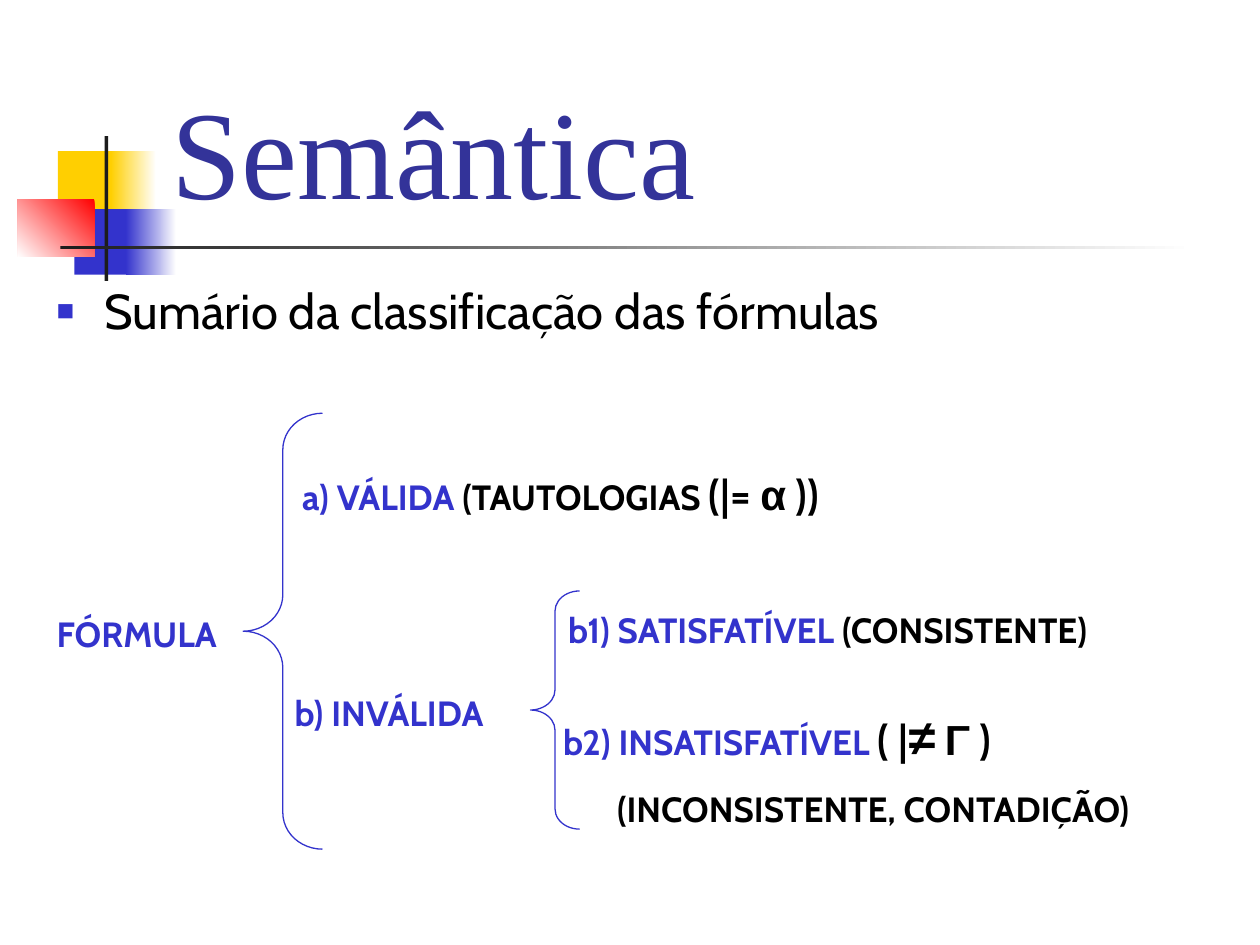
from dataclasses import dataclass
from typing import Optional

from lxml.etree import SubElement
from pptx import Presentation
from pptx.dml.color import RGBColor as Rgb
from pptx.enum.shapes import MSO_SHAPE as Preset
from pptx.enum.text import MSO_ANCHOR as Anchor, MSO_AUTO_SIZE as AutoSize, PP_ALIGN as Align
from pptx.oxml.ns import qn
from pptx.util import Inches, Pt


@dataclass(frozen=True)
class Theme:
    blue: str = "3333CC"
    navy: str = "333399"
    yellow: str = "FFCF01"
    red: str = "FF0000"
    dark: str = "1C1C1C"
    black: str = "000000"
    white: str = "FFFFFF"
    sans: str = "Cabin"
    serif: str = "Times New Roman"
    symbol: str = "Arial"
    title: int = 72
    body: int = 28
    label: int = 20
    formula: int = 24
    label_gap: float = 12.5


THEME = Theme()


@dataclass(frozen=True)
class Box:
    left: float
    top: float
    width: float
    height: float

    def lengths(self) -> list:
        return [Inches(v) for v in (self.left, self.top, self.width, self.height)]


@dataclass(frozen=True)
class Block:
    box: Box
    color: str
    fade_to: Optional[str] = None
    angle: int = 0


@dataclass(frozen=True)
class Span:
    text: str
    color: str = THEME.black
    size: int = THEME.label
    font: str = THEME.sans
    bold: bool = True


@dataclass(frozen=True)
class Line:
    spans: tuple
    indent: float = 0


@dataclass(frozen=True)
class Label:
    box: Box
    lines: tuple


@dataclass(frozen=True)
class Brace:
    box: Box
    curl: float


def formula(text: str, font: str = THEME.sans, size: int = THEME.formula) -> Span:
    return Span(text, size=size, font=font)


def term(text: str) -> Span:
    return Span(text, THEME.blue)


BLOCKS = (
    Block(Box(0.46, 1.2, 0.48, 0.52), THEME.yellow),
    Block(Box(0.88, 1.2, 0.36, 0.52), THEME.yellow, THEME.white),
    Block(Box(0.59, 1.66, 0.46, 0.52), THEME.blue),
    Block(Box(1, 1.66, 0.4, 0.52), THEME.blue, THEME.white),
    Block(Box(0.14, 1.58, 0.61, 0.46), THEME.red, THEME.white, 225),
    Block(Box(0.83, 1.08, 0.03, 1.15), THEME.dark),
    Block(Box(0.48, 1.95, 9, 0.03), THEME.dark, THEME.white),
)

LABELS = (
    Label(Box(0.35, 4.81, 1.65, 0.44), (Line((term("FÓRMULA"),)),)),
    Label(Box(2.24, 3.67, 5.43, 0.5), (
        Line((term("a) VÁLIDA"), Span(" (TAUTOLOGIAS "), formula("(|= "),
              formula("α", THEME.symbol), formula(" ))")), 0.06),
    )),
    Label(Box(2.24, 5.44, 2.05, 0.44), (Line((term("b) INVÁLIDA"),)),)),
    Label(Box(4.41, 4.78, 5.32, 0.44), (
        Line((term("b1) SATISFATÍVEL"), Span(" (CONSISTENTE)"))),
    )),
    Label(Box(4.37, 5.56, 5.51, 1.08), (
        Line((term("b2) INSATISFATÍVEL "), formula("( |"),
              formula("≠", THEME.symbol, THEME.body), formula(" "),
              formula("Γ", THEME.symbol), formula(" )"))),
        Line((Span("(INCONSISTENTE, CONTADIÇÃO)"),), 0.43),
    )),
)

BRACES = (
    Brace(Box(1.93, 3.28, 0.63, 3.46), 0.46),
    Brace(Box(4.21, 4.69, 0.39, 1.89), 0.41),
)


def add_span(paragraph, span: Span) -> None:
    run = paragraph.add_run()
    run.text = span.text
    run.font.name = span.font
    run.font.size = Pt(span.size)
    run.font.bold = span.bold
    run.font.color.rgb = Rgb.from_string(span.color)


def draw_block(shapes, block: Block) -> None:
    tile = shapes.add_shape(Preset.RECTANGLE, *block.box.lengths())
    tile.shadow.inherit = False
    tile.line.fill.background()
    if block.fade_to:
        tile.fill.gradient()
        tile.fill.gradient_angle = block.angle
        for stop, color in zip(tile.fill.gradient_stops, (block.color, block.fade_to)):
            stop.color.rgb = Rgb.from_string(color)
    else:
        tile.fill.solid()
        tile.fill.fore_color.rgb = Rgb.from_string(block.color)


def draw_label(shapes, label: Label) -> None:
    frame = shapes.add_textbox(*label.box.lengths()).text_frame
    frame.word_wrap = True
    for index, line in enumerate(label.lines):
        paragraph = frame.add_paragraph() if index else frame.paragraphs[0]
        paragraph.space_before = Pt(THEME.label_gap)
        if line.indent:
            paragraph._p.get_or_add_pPr().set("marL", str(Inches(line.indent)))
        for span in line.spans:
            add_span(paragraph, span)


def draw_brace(shapes, brace: Brace) -> None:
    bracket = shapes.add_shape(Preset.LEFT_BRACE, *brace.box.lengths())
    bracket.shadow.inherit = False
    bracket.adjustments[0] = brace.curl
    bracket.fill.background()
    bracket.line.color.rgb = Rgb.from_string(THEME.blue)
    bracket.line.width = Pt(0.75)


def fill_placeholder(holder, box: Box, anchor: Anchor, span: Span):
    holder.left, holder.top, holder.width, holder.height = box.lengths()
    frame = holder.text_frame
    frame.auto_size = AutoSize.NONE
    frame.vertical_anchor = anchor
    paragraph = frame.paragraphs[0]
    paragraph.alignment = Align.LEFT
    add_span(paragraph, span)
    return paragraph


def add_bullet(paragraph) -> None:
    properties = paragraph._p.get_or_add_pPr()
    properties.set("marL", str(Inches(0.38)))
    properties.set("indent", str(Inches(-0.38)))
    bullet_color = SubElement(properties, qn("a:buClr"))
    SubElement(bullet_color, qn("a:srgbClr"), val=THEME.blue)
    SubElement(properties, qn("a:buSzPct"), val="60000")
    SubElement(properties, qn("a:buFont"), typeface=THEME.symbol)
    SubElement(properties, qn("a:buChar"), char="■")


def main() -> None:
    deck = Presentation()
    deck.slide_width, deck.slide_height = Inches(10), Inches(7.5)
    slide = deck.slides.add_slide(deck.slide_layouts[1])
    shapes = slide.shapes
    for block in BLOCKS:
        draw_block(shapes, block)
    fill_placeholder(shapes.title, Box(1.26, 0.23, 8.52, 1.6), Anchor.BOTTOM,
                     Span("Semântica", THEME.navy, THEME.title, THEME.serif, False))
    summary = fill_placeholder(slide.placeholders[1], Box(0.35, 2.18, 9.44, 5.04), Anchor.TOP,
                               Span("Sumário da classificação das fórmulas",
                                    size=THEME.body, bold=False))
    summary.space_before = Pt(7)
    add_bullet(summary)
    for label in LABELS:
        draw_label(shapes, label)
    for brace in BRACES:
        draw_brace(shapes, brace)
    deck.save("out.pptx")


if __name__ == "__main__":
    main()
